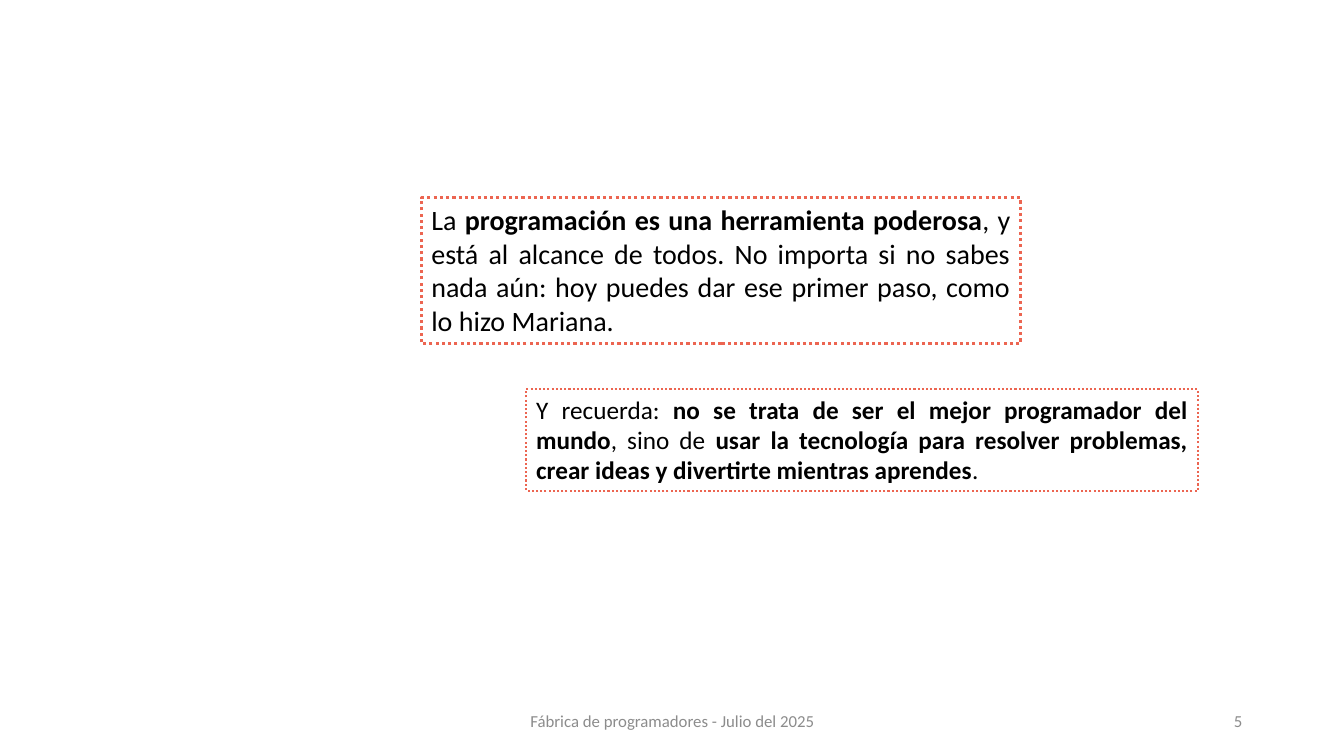
from pptx import Presentation
from pptx import util as u
from pptx.dml.color import RGBColor
from pptx.enum import dml, shapes, text


def paint(target, color):
    target.rgb = RGBColor.from_string(color)


def style(run, size, color, bold=False):
    font = run.font
    font.name = "Calibri"
    font.size = u.Pt(size)
    font.bold = bold
    paint(font.color, color)


def add_foot(slide, left, width, words, align):
    box = slide.shapes.add_textbox(
        u.Inches(left), u.Inches(6.95), u.Inches(width), u.Inches(0.4))
    frame = box.text_frame
    frame.word_wrap = True
    frame.vertical_anchor = text.MSO_ANCHOR.MIDDLE
    frame.text = words
    line = frame.paragraphs[0]
    line.alignment = align
    style(line.runs[0], 12, "8C8C8C")


def add_quote(slide, place, size, weight, parts):
    box = slide.shapes.add_shape(
        shapes.MSO_SHAPE.RECTANGLE, *[u.Inches(side) for side in place])
    box.shadow.inherit = False
    box.fill.background()
    paint(box.line.color, "EC6551")
    box.line.width = u.Pt(weight)
    box.line.dash_style = dml.MSO_LINE.ROUND_DOT
    frame = box.text_frame
    frame.word_wrap = True
    frame.auto_size = text.MSO_AUTO_SIZE.SHAPE_TO_FIT_TEXT
    frame.vertical_anchor = text.MSO_ANCHOR.TOP
    line = frame.paragraphs[0]
    line.alignment = text.PP_ALIGN.JUSTIFY
    for words, bold in parts:
        run = line.add_run()
        run.text = words
        style(run, size, "000000", bold)


def main():
    deck = Presentation()
    deck.slide_width = u.Inches(13.33)
    deck.slide_height = u.Inches(7.5)
    slide = deck.slides.add_slide(deck.slide_layouts[6])
    add_foot(slide, 4.42, 4.5, "Fábrica de programadores - Julio del 2025",
             text.PP_ALIGN.CENTER)
    add_foot(slide, 9.42, 3, "5", text.PP_ALIGN.RIGHT)
    add_quote(slide, (4.18, 1.96, 5.94, 1.45), 20, 2.25, [
        ("La ", False),
        ("programación es una herramienta poderosa", True),
        (", y está al alcance de todos. No importa si no sabes nada aún: "
         "hoy puedes dar ese primer paso, como lo hizo Mariana.", False),
    ])
    add_quote(slide, (5.22, 3.86, 6.66, 1.01), 18, 1.5, [
        ("Y recuerda: ", False),
        ("no se trata de ser el mejor programador del mundo", True),
        (", sino de ", False),
        ("usar la tecnología para resolver problemas, crear ideas y "
         "divertirte mientras aprendes", True),
        (".", False),
    ])
    deck.save("out.pptx")


if __name__ == "__main__":
    main()
